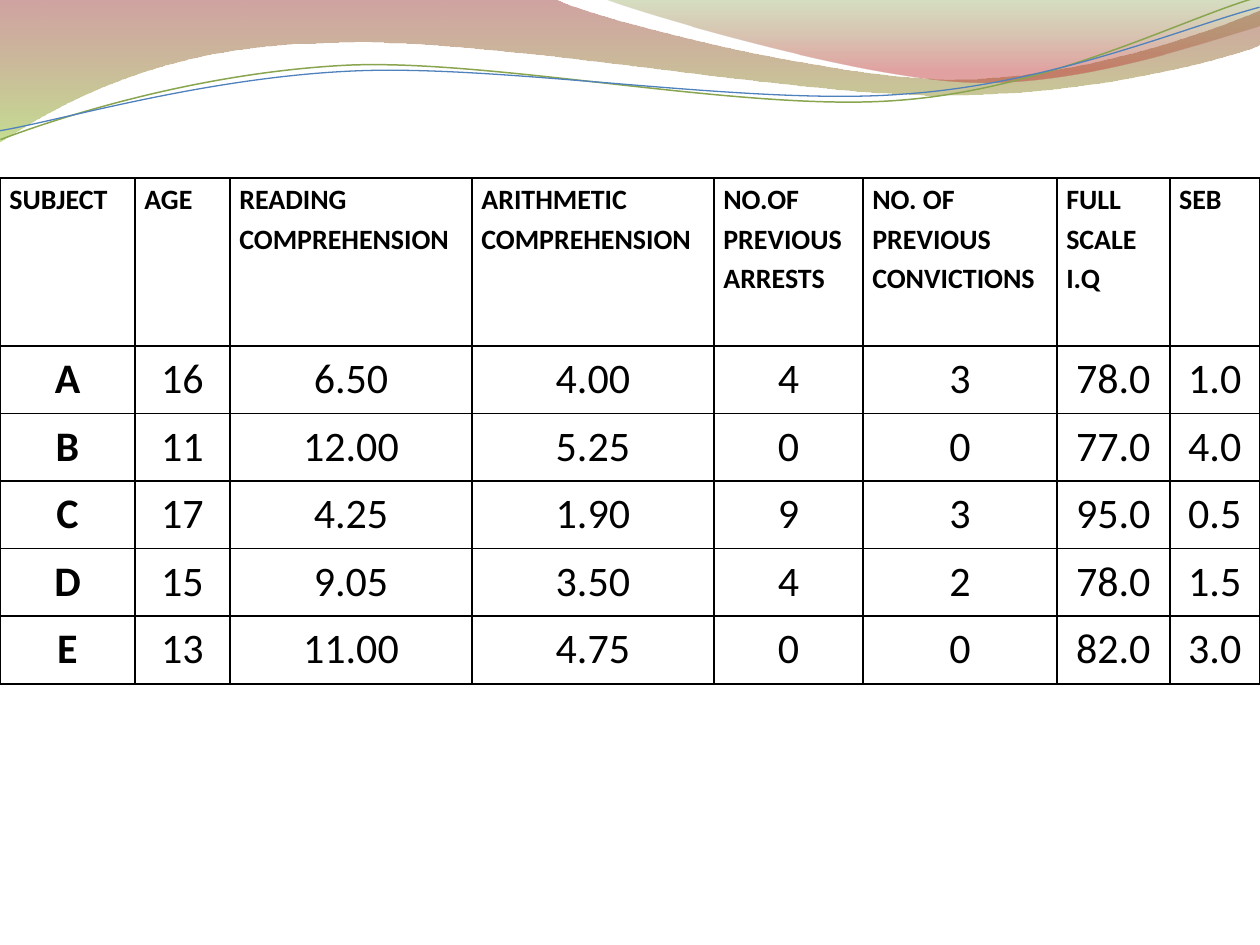
from lxml import etree
from pptx import Presentation
from pptx.dml.color import RGBColor
from pptx.enum.text import MSO_ANCHOR, PP_ALIGN
from pptx.oxml.ns import qn
from pptx.util import Inches, Pt

TOP = MSO_ANCHOR.TOP
LEFT = PP_ALIGN.LEFT
CENTER = PP_ALIGN.CENTER
SCALE = Inches(1) / 126
COLORS = {
    "text": "000000",
    "border": "000000",
    "maroon": "973330",
    "lime": "95C238",
    "olive": "769537",
    "red": "BE3330",
    "green": "89A54F",
    "blue": "4F81BD",
}


def px(n):
    return round(n * SCALE)


def add_wave(shapes, start, segments, close):
    points = [(px(x), px(y)) for seg in segments for x, y in seg]
    builder = shapes.build_freeform(px(start[0]), px(start[1]), scale=1.0)
    builder.add_line_segments(points, close=close)
    sp = builder.convert_to_shape()
    sp.shadow.inherit = False
    lines = iter(list(sp._element.iter(qn("a:lnTo"))))
    for seg in segments:
        parts = [next(lines) for _ in seg]
        if len(parts) == 3:
            curve = etree.Element(qn("a:cubicBezTo"))
            parts[0].addprevious(curve)
            for part in parts:
                curve.append(part[0])
                part.getparent().remove(part)
    return sp


prs = Presentation()
prs.slide_width = px(1260)
prs.slide_height = px(945)
s = prs.slides.add_slide(prs.slide_layouts[6])

bands = [
    ((0, 0), [
        [(554, -1)],
        [(600, 21), (837, 79), (955, 79)],
        [(1075, 79), (1207, 33), (1260, 11)],
        [(1261, 45)],
        [(1239, 55), (1096, 96), (940, 95)],
        [(783, 95), (481, 35), (324, 43)],
        [(161, 45), (58, 105), (-1, 142)],
    ], [(0, "maroon", 45), (1, "lime", 55)]),
    ((604, -1), [
        [(641, 14), (859, 78), (969, 82)],
        [(1079, 87), (1211, 40), (1260, 26)],
        [(1260, 0)],
    ], [(0, "olive", 30), (0.8, "red", 45)]),
]
for start, segments, stops in bands:
    sp = add_wave(s.shapes, start, segments, True)
    sp.line.fill.background()
    sp.fill.gradient()
    sp.fill.gradient_angle = 270
    for stop, (position, color, _) in zip(sp.fill.gradient_stops, stops):
        stop.position = position
        stop.color.rgb = RGBColor.from_string(COLORS[color])
    gradient = sp._element.spPr.find(qn("a:gradFill"))
    for clr, (_, _, opacity) in zip(gradient.iter(qn("a:srgbClr")), stops):
        etree.SubElement(clr, qn("a:alpha"), val=str(opacity * 1000))

strands = [
    ((-2, 110), [
        [(59, 90), (200, 52), (350, 52)],
        [(498, 53), (745, 118), (897, 113)],
        [(1048, 109), (1184, 45), (1260, 27)],
    ], "green", 0.85),
    ((-2, 101), [
        [(58, 94), (207, 57), (357, 58)],
        [(508, 59), (751, 112), (902, 107)],
        [(1052, 104), (1187, 53), (1262, 37)],
    ], "blue", 0.75),
]
group = s.shapes.add_group_shape()
for start, segments, color, width in strands:
    sp = add_wave(group.shapes, start, segments, False)
    sp.rotation = 357.3
    sp.fill.background()
    sp.line.color.rgb = RGBColor.from_string(COLORS[color])
    sp.line.width = Pt(width)

rows = [
    ["SUBJECT", "AGE", "READING COMPREHENSION", "ARITHMETIC COMPREHENSION",
     "NO.OF PREVIOUS ARRESTS", "NO. OF PREVIOUS CONVICTIONS", "FULL SCALE I.Q", "SEB"],
    ["A", "16", "6.50", "4.00", "4", "3", "78.0", "1.0"],
    ["B", "11", "12.00", "5.25", "0", "0", "77.0", "4.0"],
    ["C", "17", "4.25", "1.90", "9", "3", "95.0", "0.5"],
    ["D", "15", "9.05", "3.50", "4", "2", "78.0", "1.5"],
    ["E", "13", "11.00", "4.75", "0", "0", "82.0", "3.0"],
]
widths = [135, 95, 242, 242, 149, 194, 113, 90]
table = s.shapes.add_table(
    len(rows), len(widths), 0, px(178), px(1260), px(506)).table
table.first_row = False
table.horz_banding = False
for column, width in zip(table.columns, widths):
    column.width = px(width)
for i, row in enumerate(rows):
    table.rows[i].height = px(338) // 5 if i else px(168)
    for j, text in enumerate(row):
        cell = table.cell(i, j)
        cell.margin_left = cell.margin_right = Pt(5.4)
        cell.margin_top = cell.margin_bottom = 0
        cell.vertical_anchor = TOP
        cell.fill.background()
        p = cell.text_frame.paragraphs[0]
        p.alignment = CENTER if i else LEFT
        p.line_spacing = 1.15
        r = p.add_run()
        r.text = text
        r.font.name = "Calibri"
        r.font.size = Pt(24 if i else 16)
        r.font.bold = i == 0 or j == 0
        r.font.color.rgb = RGBColor.from_string(COLORS["text"])
        tcPr = cell._tc.get_or_add_tcPr()
        for k, side in enumerate(("a:lnL", "a:lnR", "a:lnT", "a:lnB")):
            ln = etree.Element(qn(side), w=str(Pt(1)))
            fill = etree.SubElement(ln, qn("a:solidFill"))
            etree.SubElement(fill, qn("a:srgbClr"), val=COLORS["border"])
            tcPr.insert(k, ln)

prs.save("out.pptx")
